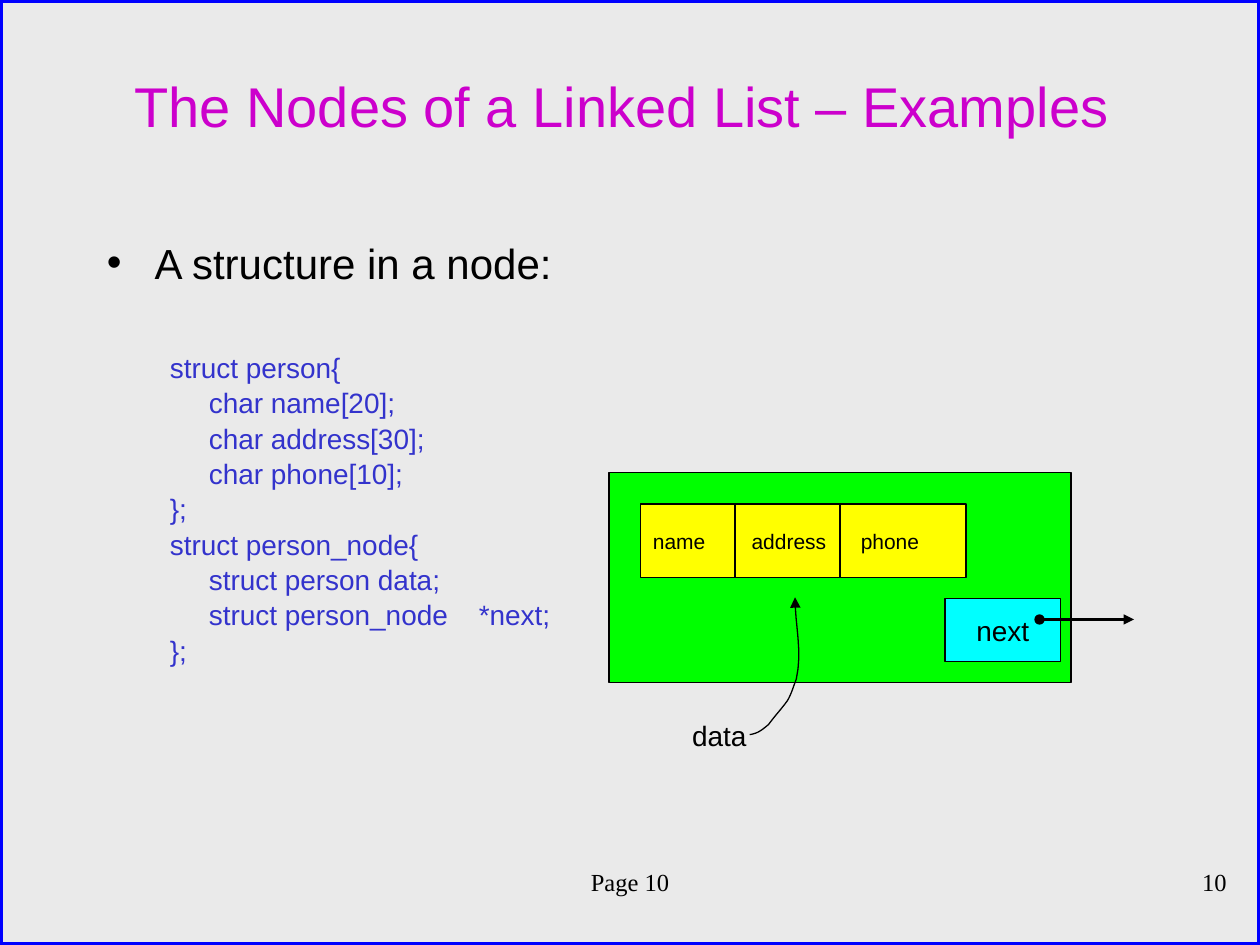
from lxml.etree import SubElement
from pptx import Presentation
from pptx.dml.color import RGBColor as RGB
from pptx.enum.shapes import MSO_CONNECTOR as LINK, MSO_SHAPE as SHAPE
from pptx.enum.text import MSO_ANCHOR as ANCHOR, PP_ALIGN as ALIGN
from pptx.oxml.ns import qn
from pptx.util import Inches, Pt

HUES = {"back": "EAEAEA", "edge": "0000FF", "title": "CC00CC", "code": "3333CC",
        "node": "00FF00", "data": "FFFF00", "next": "00FFFF", "ink": "000000"}

deck = Presentation()
deck.slide_width, deck.slide_height = Inches(10), Inches(7.5)
slide = deck.slides.add_slide(deck.slide_layouts[6])
parts = slide.shapes
# The grid has 120 columns and 90 rows
U = deck.slide_width // 120


def write(frame, text, size=16, hue="ink", font="Arial", align=ALIGN.LEFT,
          anchor=ANCHOR.TOP, wrap=True, left=0, first=0, gap=0, bullet=None):
    """Add a paragraph to the frame; the first one fills the empty paragraph."""
    frame.word_wrap, frame.vertical_anchor = wrap, anchor
    para = frame.add_paragraph() if frame.text else frame.paragraphs[0]
    props = para._p.get_or_add_pPr()
    props.set("marL", str(Inches(left)))
    props.set("indent", str(Inches(first)))
    if bullet:
        SubElement(props, qn("a:buFont"), typeface=font)
        SubElement(props, qn("a:buChar"), char=bullet)
    para.alignment, para.space_before = align, Pt(gap)
    run = para.add_run()
    run.text = text
    run.font.size, run.font.name = Pt(size), font
    run.font.color.rgb = RGB.from_string(HUES[hue])


def ink(item, width=0.75, hue="ink", head=None, tail=None):
    """Draw the outline, with optional ends, and drop the shadow."""
    item.line.width = Pt(width)
    item.line.color.rgb = RGB.from_string(HUES[hue])
    stroke = item.line._get_or_add_ln()
    for tag, end in (("a:headEnd", head), ("a:tailEnd", tail)):
        if end:
            SubElement(stroke, qn(tag), type=end)
    SubElement(item._element.spPr, qn("a:effectLst"))


# Background and frame, then the node with its two fields
slide.background.fill.solid()
slide.background.fill.fore_color.rgb = RGB.from_string(HUES["back"])
box = {}
for name, spot, width, edge in (
        ("back", (0, 0, 120, 90), 3, "edge"),
        ("node", (58, 45, 44, 20), 0.75, "ink"),
        ("data", (61, 48, 31, 7), 0.75, "ink"),
        ("next", (90, 57, 11, 6), 0.75, "ink")):
    box[name] = parts.add_shape(SHAPE.RECTANGLE, *(n * U for n in spot))
    box[name].fill.solid()
    box[name].fill.fore_color.rgb = RGB.from_string(HUES[name])
    ink(box[name], width, edge)

mid = {"align": ALIGN.CENTER, "anchor": ANCHOR.MIDDLE}
write(box["next"].text_frame, "next", wrap=False, **mid)

# Title, field names, label and footer
cell = {"size": 12, "anchor": ANCHOR.MIDDLE}
foot = {"size": 14, "font": "Times New Roman"}
for text, spot, look in (
        ("The Nodes of a Linked List – Examples ", (9, 5, 102, 10),
         {"size": 32, "hue": "title", **mid}),
        ("name", (61, 48, 9, 7), cell),
        ("address", (70.4, 48, 10, 7), cell),
        ("phone", (80.8, 48, 11, 7), cell),
        ("data", (63, 67, 11, 6), {"wrap": False, **mid}),
        ("Page 10", (8, 82, 104, 6), {"align": ALIGN.CENTER, **foot}),
        ("10", (93, 82, 25, 6), {"align": ALIGN.RIGHT, **foot})):
    write(parts.add_textbox(*(int(n * U) for n in spot)).text_frame, text, **look)

# Bullet and code; members of a struct are indented
body = parts.add_textbox(9 * U, 22 * U, 102 * U, 65 * U).text_frame
write(body, "A structure in a node:", size=24, left=0.38, first=-0.38, bullet="•")
code = (("struct person{", 0), ("char name[20];", 1), ("char address[30];", 1),
        ("char phone[10];", 1), ("};", 0), ("struct person_node{", 0),
        ("struct person data;", 1), ("struct person_node    *next;", 1), ("};", 0))
for row, (text, depth) in enumerate(code):
    write(body, text, hue="code", left=0.5 + 0.31 * depth, gap=1 if row else 36)

# Field dividers and the next pointer
for x1, y1, x2, y2, look in (
        (70, 48, 70, 55, {}),
        (80, 48, 80, 55, {}),
        (99, 59, 108, 59, {"width": 1.5, "head": "oval", "tail": "triangle"})):
    ink(parts.add_connector(LINK.STRAIGHT, x1 * U, y1 * U, x2 * U, y2 * U), **look)

# Curved arrow from the label to the data field, as sampled Bézier arcs
knots = ((5.95, 5.83), (6.02, 5.82), (6.05, 5.79), (6.1, 5.75), (6.15, 5.68),
         (6.2, 5.63), (6.25, 5.56), (6.28, 5.51), (6.3, 5.44), (6.32, 5.39),
         (6.37, 5.17), (6.31, 4.96), (6.31, 4.74))
STEPS = 8
trail = []
for k in range(0, len(knots) - 1, 3):
    for step in range(1, STEPS + 1):
        t = step / STEPS
        mix = ((1 - t) ** 3, 3 * t * (1 - t) ** 2, 3 * t * t * (1 - t), t ** 3)
        trail.append([sum(m * p[axis] for m, p in zip(mix, knots[k:k + 4]))
                      for axis in (0, 1)])
pen = parts.build_freeform(*(Inches(n) for n in knots[0]))
pen.add_line_segments([(Inches(x), Inches(y)) for x, y in trail], close=False)
curve = pen.convert_to_shape()
curve.fill.background()
ink(curve, tail="triangle")

deck.save("out.pptx")
